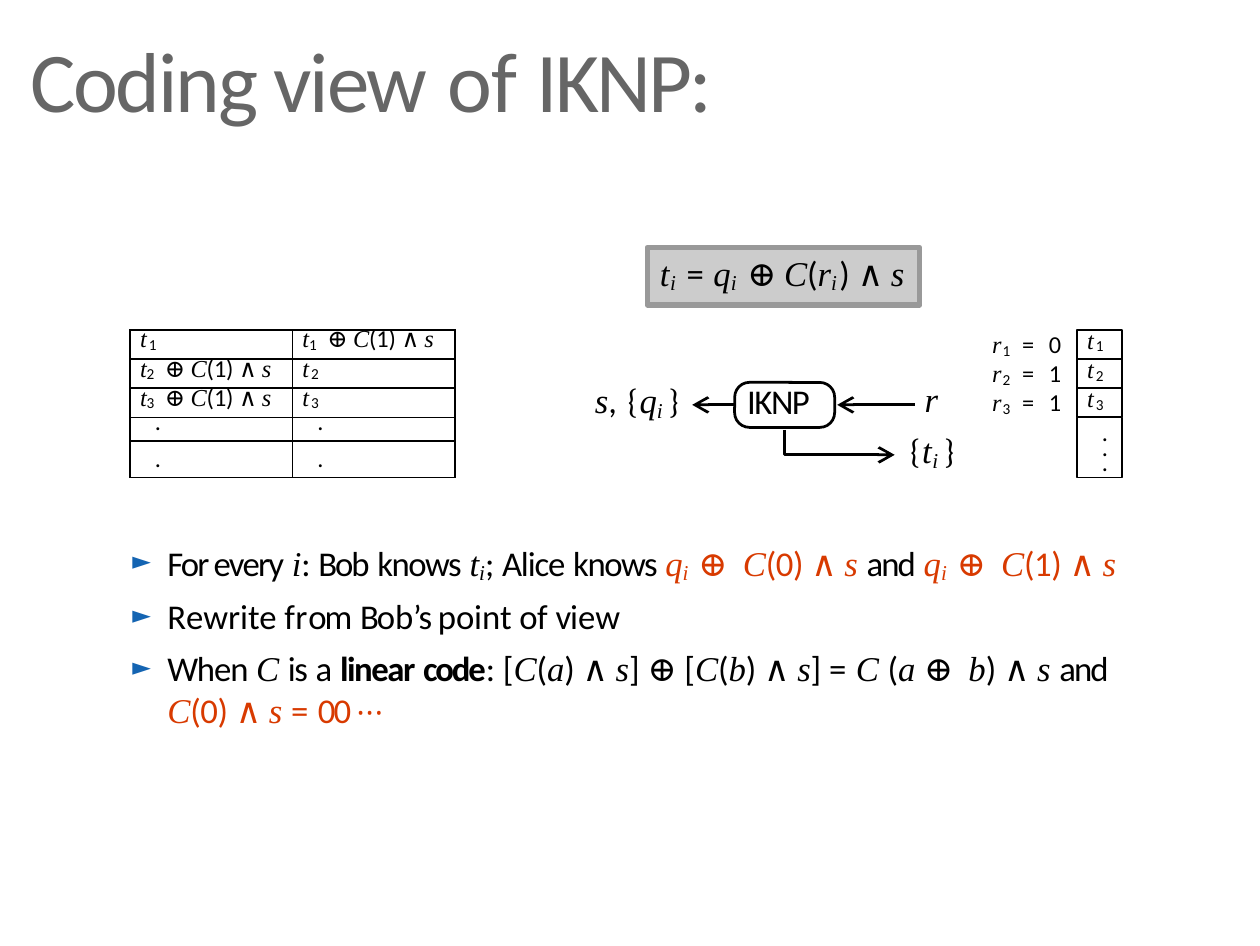
import pptx
import pptx.dml.color
import pptx.enum.shapes
import pptx.enum.text
import pptx.oxml
import pptx.oxml.ns
import pptx.util
from lxml import etree

Inches, Pt = pptx.util.Inches, pptx.util.Pt
qn = pptx.oxml.ns.qn
SHAPES = pptx.enum.shapes.MSO_SHAPE

# Content: a run is (style, text, letter spacing in points[, colour])
BLACK, WHITE, GREY, ACCENT, BULLET = "000000", "FFFFFF", "666666", "D83A00", "1464B2"
STYLES = {  # font, italic, bold, baseline
    "text": ("Calibri", False, False, 0),
    "bold": ("Calibri", False, True, 0),
    "var": ("Times New Roman", True, False, 0),
    "math": ("Cambria", False, False, 0),
    "index": ("Times New Roman", True, False, -12000),
    "number": ("Calibri", False, False, -11000),
}
AND, XOR, XOR_WIDE = ("math", "∧ ", 0), ("math", "⊕ ", 0), ("math", "⊕  ", 0)


def plain(row):
    return [("var", "t", 0.6), ("number", str(row), 0.8)]


def masked(row):
    return [("var", "t", 0), ("number", f"{row}  ", 1.1), XOR, ("var", "C", 0),
            ("text", "(1) ", 0), AND, ("var", "s", 0)]


def accent(runs):
    return [(*run, ACCENT) for run in runs]


def alice_value(bit, end):
    return accent([("var", "q", -0.1), ("index", "i ", 1.3), XOR_WIDE, ("var", "C", -0.1),
                   ("text", f"({bit}) ", -0.1), AND, ("var", end, -0.2)])


def code_term(name):
    return [("text", "[", -0.3), ("var", "C", -0.3), ("text", "(", -0.3), ("var", name, -0.3),
            ("text", ") ", -0.3), AND, ("var", "s", -0.7), ("text", "] ", -0.7)]


TITLE = [("text", "Coding view ", -0.6), ("text", "of ", -0.1), ("text", "IKNP:", -0.8)]
FORMULA = [("var", "t", 0.2), ("index", "i  ", 0), ("text", "= ", 0.5), ("var", "q", -0.2),
           ("index", "i  ", 0), XOR, ("var", "C", -0.2), ("text", "(", 0), ("var", "r", -0.5),
           ("index", "i", 0.7), ("text", ") ", 0), AND, ("var", "s", -0.2)]
LABELS = [  # left, top, width, indent, runs
    (2.98, 1.51, 0.33, 0.01, [("text", "IKNP", -0.4)]),
    (2.34, 1.5, 0.42, 0.04, [("var", "s", -0.3), ("text", ", ", -0.1), ("math", "{", 0.4),
                             ("var", "q", -0.1), ("index", "i ", 0), ("math", "}", 0.2)]),
    (3.69, 1.5, 0.08, 0.01, [("var", "r", -0.5)]),
    (3.59, 1.7, 0.28, 0.04, [("math", "{", 0.4), ("var", "t", 0.2), ("index", "i ", 0),
                             ("math", "}", 0.2)]),
]
DOT = [("text", ".", 0)]
ROW = 8.4  # points
TABLE_ROWS = [  # height and line spacing in points, indent, bordered sides, cells
    (ROW, 7.2, 0.04, "LRTB", [plain(1), masked(1)]),
    (ROW, 7.2, 0.04, "LRTB", [masked(2), plain(2)]),
    (ROW, 7.2, 0.04, "LRTB", [masked(3), plain(3)]),
    (6.8, 5.8, 0.1, "LRTB", [DOT, DOT]),
    (4.1, 3, 0.1, "LRT", [[], []]),
    (6.5, 5.5, 0.1, "LRB", [DOT, DOT]),
]
CHOICE_BITS = [0, 1, 1]
BODY = [  # space before, line spacing, has bullet, runs
    (4, None, True, [
        ("text", "For every ", -0.5), ("var", "i", -0.3), ("text", ": ", -0.3),
        ("text", "Bob ", -0.6), ("text", "knows ", -0.4), ("var", "t", 0), ("index", "i", 0),
        ("text", "; ", 0), ("text", "Alice ", -0.3), ("text", "knows ", -0.4),
        *alice_value(0, "s "), ("text", "and ", -0.5), *alice_value(1, "s")]),
    (3, None, True, [
        ("text", "R", -1.3), ("text", "e", -1.1), ("text", "write ", 0), ("text", "fr", 0.2),
        ("text", "om ", -0.5), ("text", "Bo", -0.6), ("text", "b", -0.8), ("text", "’s p", -0.3),
        ("text", "oint ", 0), ("text", "of ", -0.1), ("text", "vi", -0.3), ("text", "e", -0.6),
        ("text", "w", -0.1)]),
    (2.9, 12, True, [
        ("text", "When ", -0.3), ("var", "C ", -0.2), ("text", "is ", -0.4), ("text", "a ", -0.8),
        ("bold", "linear ", -0.4), ("bold", "code", -0.6), ("text", ": ", -0.6),
        *code_term("a"), XOR, *code_term("b"), ("text", "= ", 0.5), ("var", "C ", -0.1),
        ("text", "(", -0.1), ("var", "a ", -0.1), XOR_WIDE, ("var", "b", -0.1),
        ("text", ") ", -0.1), AND, ("var", "s ", -0.2), ("text", "and", -0.5)]),
    (0, 12, False, accent([
        ("var", "C", -0.2), ("text", "(0) ", -0.1), AND, ("var", "s ", -0.2),
        ("text", "= ", 0.5), ("text", "00 ", -0.5), ("math", "· · ·", -0.3)])),
]


# Helpers
def rgb(value):
    return pptx.dml.color.RGBColor.from_string(value)


def add_xml(parent, tag, **attributes):
    return etree.SubElement(parent, qn(tag), attributes)


def write(paragraph, runs, size, color=BLACK, indent=0, before=0, spacing=None):
    paragraph.alignment = pptx.enum.text.PP_ALIGN.LEFT
    paragraph.space_before = Pt(before)
    if spacing:
        paragraph.line_spacing = Pt(spacing)
    properties = paragraph._p.get_or_add_pPr()
    properties.set("marL", str(Inches(indent)))
    properties.set("indent", "0")
    for style, text, tracking, *own_color in runs:
        name, italic, bold, baseline = STYLES[style]
        word = text.rstrip()
        # Letter spacing stops before the trailing space
        for piece, space in [(word, tracking), (text[len(word):], 0)]:
            if not piece:
                continue
            run = paragraph.add_run()
            run.text = piece
            font = run.font
            font.name, font.italic, font.bold = name, italic, bold
            font.size = Pt(size + 0.5 if baseline else size)
            font.color.rgb = rgb(own_color[0] if own_color else color)
            font._element.set("spc", str(round(space * 100)))
            font._element.set("kern", "0")
            if baseline:
                font._element.set("baseline", str(baseline))


def set_frame(shape, left=0, top=0):
    frame = shape.text_frame
    frame.margin_left, frame.margin_top = Inches(left), Inches(top)
    frame.margin_right = frame.margin_bottom = 0
    frame.word_wrap = True
    frame.auto_size = pptx.enum.text.MSO_AUTO_SIZE.NONE
    frame.vertical_anchor = pptx.enum.text.MSO_ANCHOR.TOP
    return frame


def add_text(left, top, width, height, runs, size, indent, before, inset):
    box = slide.shapes.add_textbox(Inches(left), Inches(top), Inches(width), Inches(height))
    write(set_frame(box, top=inset).paragraphs[0], runs, size, indent=indent, before=before)


def add_box(kind, left, top, width, height, fill, line, line_width):
    shape = slide.shapes.add_shape(kind, Inches(left), Inches(top), Inches(width), Inches(height))
    shape.shadow.inherit = False
    shape.fill.solid()
    shape.fill.fore_color.rgb = rgb(fill)
    shape.line.color.rgb = rgb(line)
    shape.line.width = Pt(line_width)
    return shape


def make_arrow(shape):
    shape.line.color.rgb = rgb(BLACK)
    shape.line.width = Pt(0.8)
    add_xml(shape.line._get_or_add_ln(), "a:tailEnd", type="arrow", w="sm", len="sm")
    add_xml(shape._element.spPr, "a:effectLst")


# Slide and title
presentation = pptx.Presentation()
presentation.slide_width, presentation.slide_height = Pt(363), Pt(272.5)
slide = presentation.slides.add_slide(presentation.slide_layouts[5])
title = slide.shapes.title
title.left, title.top, title.width, title.height = map(Inches, (0.1, 0.09, 3.09, 0.44))
write(set_frame(title, top=0.02).paragraphs[0], TITLE, 24.5, GREY, indent=0.02, before=1.2)

# Protocol box with its inputs and outputs
protocol = add_box(SHAPES.ROUNDED_RECTANGLE, 2.94, 1.53, 0.4, 0.18, WHITE, BLACK, 0.8)
protocol.adjustments[0] = 0.33
for left, top, width, indent, runs in LABELS:
    add_text(left, top, width, 0.19, runs, 10, indent, 0.9, 0.01)
for start, end in [(2.94, 2.77), (3.66, 3.35)]:
    make_arrow(slide.shapes.add_connector(pptx.enum.shapes.MSO_CONNECTOR.STRAIGHT, Inches(start),
                                          Inches(1.62), Inches(end), Inches(1.62)))
builder = slide.shapes.build_freeform(Inches(3.14), Inches(1.72))
builder.add_line_segments([(Inches(3.14), Inches(1.82)), (Inches(3.58), Inches(1.82))], close=False)
elbow = builder.convert_to_shape()
elbow.fill.background()
make_arrow(elbow)

# Formula
formula = add_box(SHAPES.RECTANGLE, 2.59, 0.99, 1.09, 0.23, "CCCCCC", "999999", 1.59)
write(set_frame(formula, left=0.01, top=0.01).paragraphs[0], FORMULA, 10, indent=0.04, before=0.9)

# Table of Alice's values
table = slide.shapes.add_table(len(TABLE_ROWS), 2, Inches(0.52), Inches(1.32), Inches(1.3),
                               Pt(sum(row[0] for row in TABLE_ROWS))).table
table.first_row = table.horz_banding = False
for row, (height, spacing, indent, borders, cells) in enumerate(TABLE_ROWS):
    table.rows[row].height = Pt(height)
    for column, runs in enumerate(cells):
        cell = table.cell(row, column)
        cell.margin_left = cell.margin_right = cell.margin_top = cell.margin_bottom = 0
        paragraph = cell.text_frame.paragraphs[0]
        write(paragraph, runs, 7, indent=indent, spacing=spacing)
        if not runs:
            add_xml(paragraph._p, "a:endParaRPr", sz="300")
        for side in "LRTB":
            line = add_xml(cell._tc.get_or_add_tcPr(), f"a:ln{side}", w=str(Pt(0.5)))
            if side in borders:
                add_xml(add_xml(line, "a:solidFill"), "a:srgbClr", val=BLACK)
            else:
                add_xml(line, "a:noFill")
        cell.fill.solid()
        cell.fill.fore_color.rgb = rgb(WHITE)

# Bob's choice bits and values
pitch = ROW / 72
for index, bit in enumerate(CHOICE_BITS):
    choice = [("var", "r", 0.3), ("number", f"{index + 1} ", 2.5), ("text", "= ", 2.6),
              ("text", str(bit), 0.4)]
    add_text(3.93, 1.29 + pitch * index, 0.37, 0.15, choice, 7, 0.04, 1.2, 0.02)
    value = add_box(SHAPES.RECTANGLE, 4.31, 1.32 + pitch * index, 0.18, pitch, WHITE, BLACK, 0.4)
    write(set_frame(value).paragraphs[0], plain(index + 1), 7, indent=0.04, spacing=7.2)
add_box(SHAPES.RECTANGLE, 4.31, 1.32 + 3 * pitch, 0.18, 0.24, WHITE, BLACK, 0.4)
for index in range(3):
    add_text(4.4, 1.65 + 0.06 * index, 0.06, 0.14, DOT, 7, 0.01, 1.2, 0.02)

# Bullets
body = slide.shapes.add_textbox(Inches(0.46), Inches(2.11), Inches(4.21), Inches(0.82))
frame = set_frame(body, top=0.05)
for index, (before, spacing, has_bullet, runs) in enumerate(BODY):
    paragraph = frame.add_paragraph() if index else frame.paragraphs[0]
    write(paragraph, runs, 10, indent=0.21, before=before, spacing=spacing)
    if has_bullet:
        properties = paragraph._p.get_or_add_pPr()
        properties.set("indent", str(Inches(-0.14)))
        add_xml(add_xml(properties, "a:buClr"), "a:srgbClr", val=BULLET)
        add_xml(properties, "a:buSzPct", val="70000")
        add_xml(properties, "a:buFont", typeface="Cambria")
        add_xml(properties, "a:buChar", char="►")

presentation.save("out.pptx")
